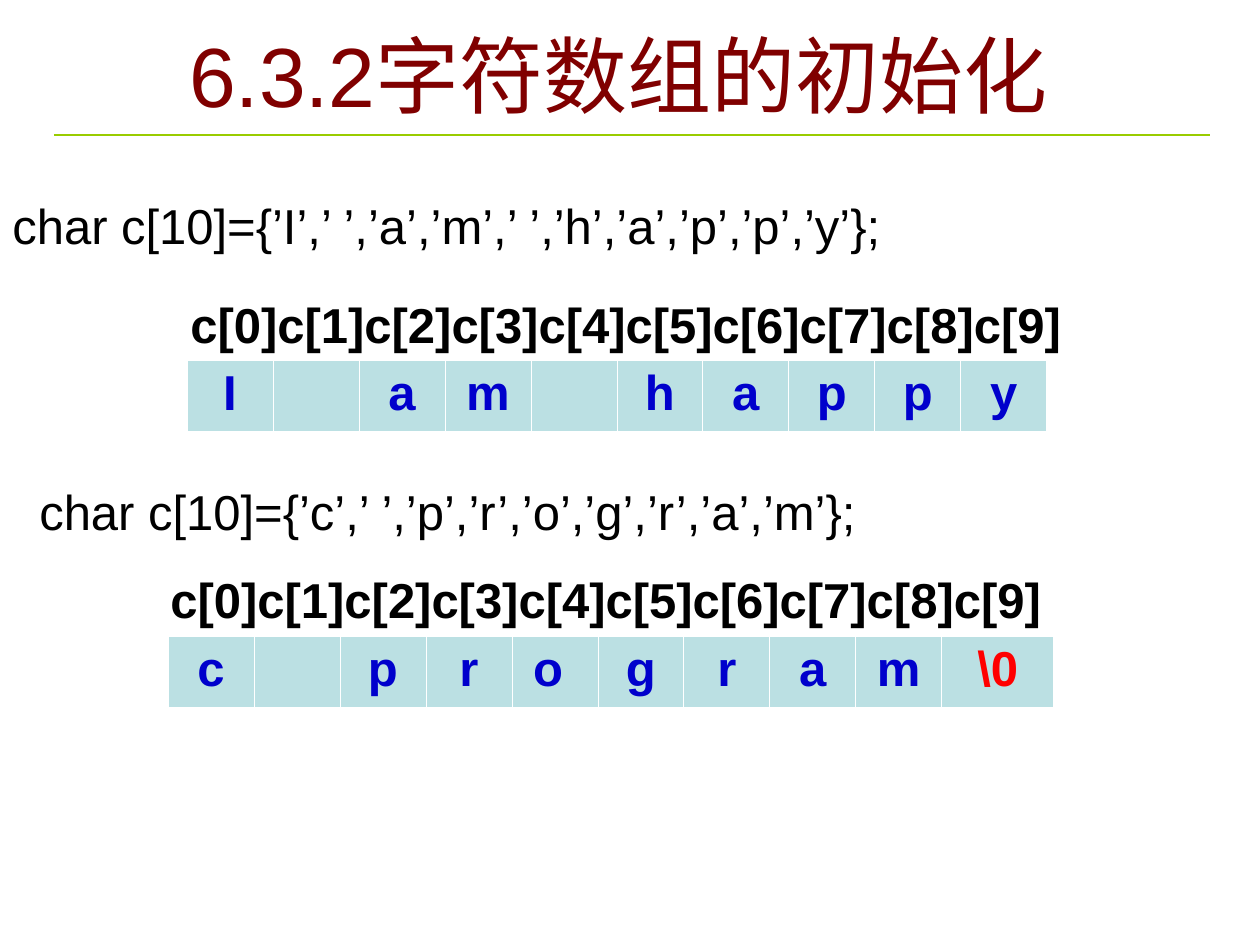
from dataclasses import dataclass

from lxml import etree
from pptx import Presentation
from pptx.dml.color import RGBColor
from pptx.enum.shapes import MSO_CONNECTOR
from pptx.enum.text import MSO_ANCHOR, MSO_AUTO_SIZE, PP_ALIGN
from pptx.oxml.ns import qn
from pptx.util import Emu, Pt

STRAIGHT = MSO_CONNECTOR.STRAIGHT
MIDDLE = MSO_ANCHOR.MIDDLE
NO_AUTOFIT = MSO_AUTO_SIZE.NONE
CENTER = PP_ALIGN.CENTER

BLACK = RGBColor(0x00, 0x00, 0x00)
MAROON = RGBColor(0x80, 0x00, 0x00)
GREEN = RGBColor(0x99, 0xCC, 0x00)
BLUE = RGBColor(0x00, 0x00, 0xCC)
RED = RGBColor(0xFF, 0x00, 0x00)
PALE_TEAL = RGBColor(0xBB, 0xE0, 0xE3)

FONT = "Arial"
TEXT_SIZE = 28
CELL_W = 86
CELL_H = 72
BORDERS = (("lnL", 0.45), ("lnR", 0.45), ("lnT", 0.45), ("lnB", 1.47))


@dataclass
class ArrayDiagram:
    label_x: int
    label_y: int
    table_x: int
    table_y: int
    values: list[str]
    last_w: int = CELL_W


def px(n: int) -> Emu:
    return Emu(round(n * 914400 / 126))


def style(p, color: RGBColor, size: int = TEXT_SIZE, bold: bool = False) -> None:
    for r in p.runs:
        r.font.name = FONT
        r.font.size = Pt(size)
        r.font.bold = bold
        r.font.color.rgb = color


def add_text(s, x: int, y: int, w: int, h: int, text: str, bold: bool = False):
    sp = s.shapes.add_textbox(px(x), px(y), px(w), px(h))
    tf = sp.text_frame
    tf.word_wrap = True
    tf.margin_top = px(10)
    tf.text = text
    for p in tf.paragraphs:
        style(p, BLACK, bold=bold)
    return tf


def set_borders(cell) -> None:
    tc_pr = cell._tc.get_or_add_tcPr()
    for i, (tag, width) in enumerate(BORDERS):
        ln = etree.Element(qn(f"a:{tag}"), w=str(Pt(width)))
        fill = etree.SubElement(ln, qn("a:solidFill"))
        etree.SubElement(fill, qn("a:srgbClr"), val="FFFFFF")
        tc_pr.insert(i, ln)


def add_array(s, d: ArrayDiagram) -> None:
    count = len(d.values)
    # Element names above the cells
    names = "".join(f"c[{i}]" for i in range(count))
    add_text(s, d.label_x, d.label_y, 925, CELL_H, names, bold=True)

    # One cell for each element
    widths = [CELL_W] * (count - 1) + [d.last_w]
    table = s.shapes.add_table(1, count, px(d.table_x), px(d.table_y),
                               px(sum(widths)), px(CELL_H)).table
    table.first_row = False
    table.horz_banding = False
    for i, (value, width) in enumerate(zip(d.values, widths)):
        table.columns[i].width = px(width)
        cell = table.cell(0, i)
        cell.fill.solid()
        cell.fill.fore_color.rgb = PALE_TEAL
        set_borders(cell)
        p = cell.text_frame.paragraphs[0]
        p.text = value
        p.alignment = CENTER
        style(p, RED if value == "\\0" else BLUE, bold=True)


def main() -> None:
    prs = Presentation()
    prs.slide_width, prs.slide_height = px(1260), px(945)
    s = prs.slides.add_slide(prs.slide_layouts[5])

    # Title and rule below it
    title = s.shapes.title
    title.left, title.top, title.width, title.height = px(159), px(16), px(919), px(115)
    tf = title.text_frame
    tf.text = "6.3.2字符数组的初始化"
    tf.auto_size = NO_AUTOFIT
    tf.vertical_anchor = MIDDLE
    tf.paragraphs[0].alignment = CENTER
    style(tf.paragraphs[0], MAROON, size=48)

    rule = s.shapes.add_connector(STRAIGHT, px(54), px(135), px(1210), px(135))
    rule.line.color.rgb = GREEN
    rule.line.width = Pt(1.5)
    etree.SubElement(rule._element.spPr, qn("a:effectLst"))

    # Declarations, spaced to leave room for the first array
    tf = add_text(s, 0, 185, 1260, 384,
                  "char c[10]={’I’,’ ’,’a’,’m’,’ ’,’h’,’a’,’p’,’p’,’y’};\n"
                  "char c[10]={’c’,’ ’,’p’,’r’,’o’,’g’,’r’,’a’,’m’};")
    second = tf.paragraphs[1]
    second.space_before = Pt(130)
    second._p.get_or_add_pPr().set("marL", str(px(27)))

    # Array contents
    add_array(s, ArrayDiagram(178, 284, 187, 360, list("I am happy")))
    add_array(s, ArrayDiagram(158, 559, 168, 636,
                              ["c", "", "p", "r", "o ", "g", "r", "a", "m", "\\0"],
                              last_w=112))

    prs.save("out.pptx")


if __name__ == "__main__":
    main()
